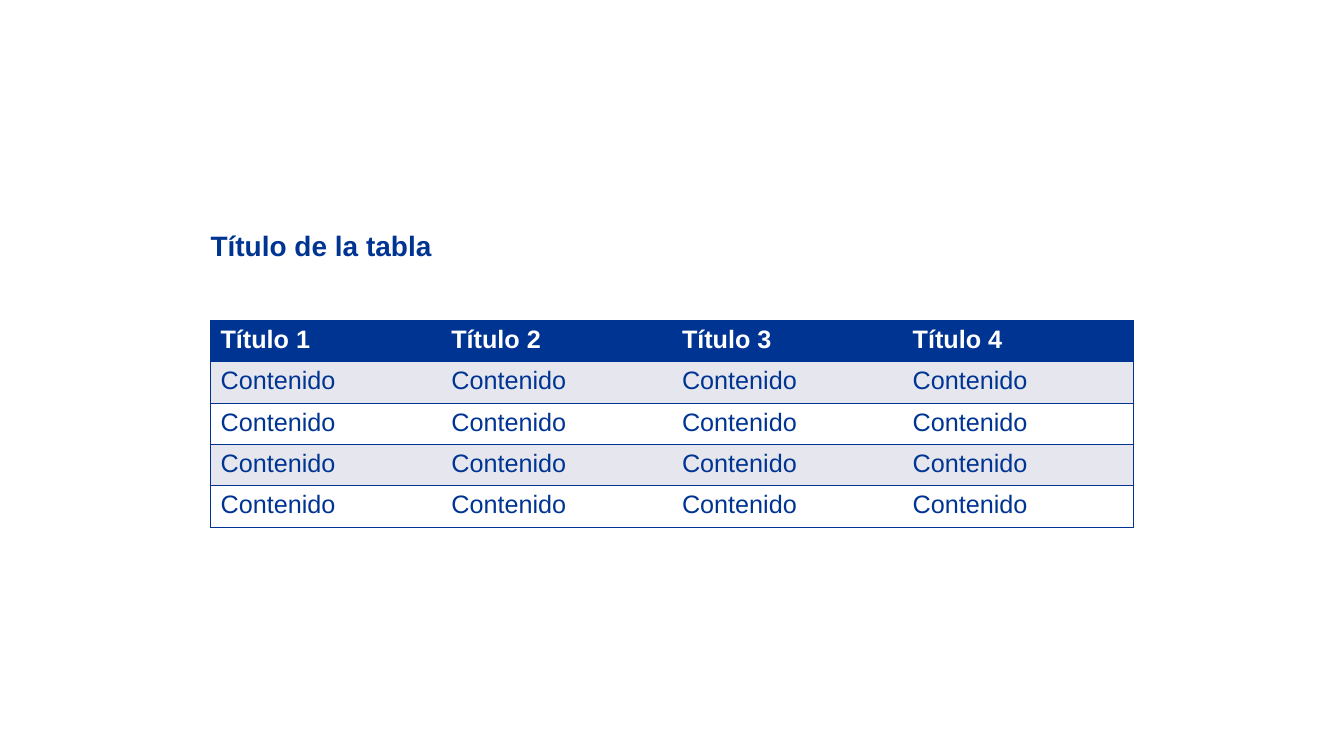
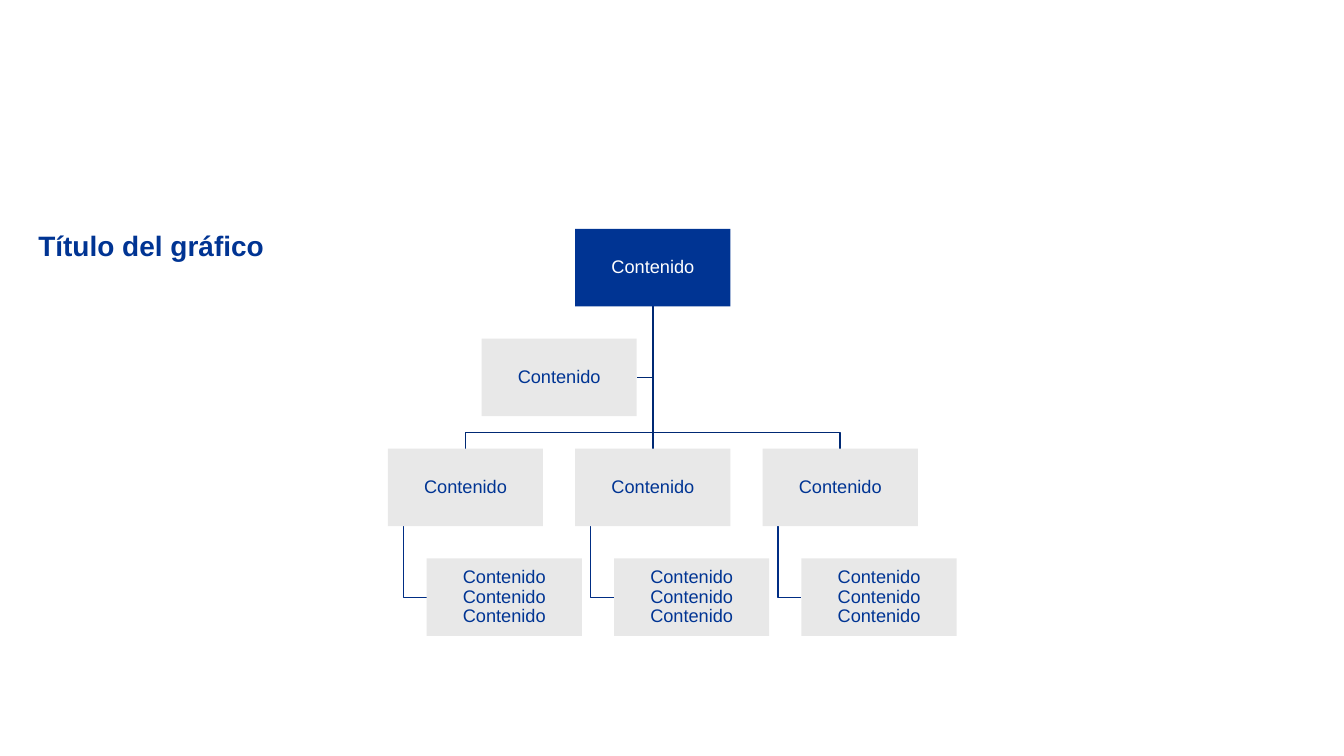
from lxml import etree
from pptx import Presentation
from pptx.dml.color import RGBColor
from pptx.enum import shapes, text
from pptx.oxml import ns
from pptx.util import Inches, Pt

# Shared style
BLUE = RGBColor(0x00, 0x34, 0x93)
TRUNK_BLUE = RGBColor(0x00, 0x29, 0x74)
BRANCH_BLUE = RGBColor(0x00, 0x2D, 0x84)
STRIPE = RGBColor(0xE6, 0xE7, 0xEE)
GREY = RGBColor(0xE8, 0xE8, 0xE8)
WHITE = RGBColor(0xFF, 0xFF, 0xFF)
FONT = "Arial"
PLAIN_TABLE_STYLE = "{2D5ABB26-0587-4C30-8999-92F81FD0307C}"

SLIDE_W, SLIDE_H = 13.34, 7.5
MARGIN = 0.38
TITLE_TOP = 2.27

# Table grid
TABLE_LEFT, TABLE_TOP = 2.09, 3.18
COL_W, ROW_H = 2.29, 0.41

# Organisation chart grid
BOX_W, BOX_H = 1.54, 0.77
COL_STEP, ROW_STEP = 1.86, 1.09
CHART_LEFT, CHART_TOP = 3.85, 2.27
LEAF_SHIFT = BOX_W / 4
BRANCH_INSET = BOX_W / 10
BUS_GAP = 0.16


def column(index):
    return CHART_LEFT + index * COL_STEP


def row(index):
    return CHART_TOP + index * ROW_STEP


def add_run(paragraph, words, size, color, bold=False):
    run = paragraph.add_run()
    run.text = words
    run.font.name = FONT
    run.font.size = Pt(size)
    run.font.bold = bold
    run.font.color.rgb = color


def set_insets(frame, horizontal, vertical):
    frame.margin_left = frame.margin_right = Inches(horizontal)
    frame.margin_top = frame.margin_bottom = Inches(vertical)


def add_title(slide, words, left):
    title = slide.shapes.add_textbox(
        Inches(left), Inches(TITLE_TOP), Inches(SLIDE_W - MARGIN - left), Inches(0.34))
    frame = title.text_frame
    frame.word_wrap = True
    set_insets(frame, 0, 0)
    add_run(frame.paragraphs[0], words, 20, BLUE, bold=True)


def add_borders(cell, sides):
    properties = cell._tc.get_or_add_tcPr()
    for side in sides:
        line = etree.SubElement(properties, ns.qn(f"a:ln{side}"), w=str(Pt(1)))
        fill = etree.SubElement(line, ns.qn("a:solidFill"))
        etree.SubElement(fill, ns.qn("a:srgbClr"), val=str(BLUE))


def add_striped_table(slide, rows):
    row_count, col_count = len(rows), len(rows[0])
    table = slide.shapes.add_table(
        row_count, col_count, Inches(TABLE_LEFT), Inches(TABLE_TOP),
        Inches(COL_W * col_count), Inches(ROW_H * row_count)).table
    table._tbl.tblPr.find(ns.qn("a:tableStyleId")).text = PLAIN_TABLE_STYLE
    for r, entries in enumerate(rows):
        header = r == 0
        background = BLUE if header else STRIPE if r % 2 else WHITE
        for c, words in enumerate(entries):
            cell = table.cell(r, c)
            sides = ["L"] * (c == 0) + ["R"] * (c == col_count - 1) + ["T", "B"]
            add_borders(cell, sides)
            cell.fill.solid()
            cell.fill.fore_color.rgb = background
            add_run(cell.text_frame.paragraphs[0], words, 18,
                    WHITE if header else BLUE, bold=header)


def add_box(slide, left, top, lines, fill=GREY, color=BLUE):
    box = slide.shapes.add_shape(
        shapes.MSO_SHAPE.RECTANGLE,
        Inches(left), Inches(top), Inches(BOX_W), Inches(BOX_H))
    box.shadow.inherit = False
    box.fill.solid()
    box.fill.fore_color.rgb = fill
    box.line.fill.background()
    frame = box.text_frame
    frame.word_wrap = True
    frame.vertical_anchor = text.MSO_ANCHOR.MIDDLE
    set_insets(frame, 0.01, 0.01)
    paragraph = frame.paragraphs[0]
    paragraph.alignment = text.PP_ALIGN.CENTER
    paragraph.line_spacing = 0.9
    for number, words in enumerate(lines):
        if number:
            paragraph.add_line_break()
        add_run(paragraph, words, 13, color)


def add_straight(slide, start, end, color):
    link = slide.shapes.add_connector(
        shapes.MSO_CONNECTOR.STRAIGHT, *(Inches(value) for value in (*start, *end)))
    etree.SubElement(link._element.spPr, ns.qn("a:effectLst"))
    link.line.color.rgb = color
    link.line.width = Pt(1)


def add_bent(slide, points, color):
    first, *rest = [(Inches(x), Inches(y)) for x, y in points]
    builder = slide.shapes.build_freeform(*first)
    builder.add_line_segments(rest, close=False)
    link = builder.convert_to_shape()
    link.shadow.inherit = False
    link.fill.background()
    link.line.color.rgb = color
    link.line.width = Pt(1)


def add_org_chart(slide, head, assistant, teams):
    trunk = column(1) + BOX_W / 2
    head_bottom = row(0) + BOX_H
    assistant_left = column(0.5)
    assistant_middle = row(1) + BOX_H / 2
    bus = row(2) - BUS_GAP

    # Links from the head
    add_straight(slide, (trunk, head_bottom), (trunk, row(2)), TRUNK_BLUE)
    add_straight(slide, (trunk, assistant_middle),
                 (assistant_left + BOX_W, assistant_middle), TRUNK_BLUE)
    for side in (0, 2):
        center = column(side) + BOX_W / 2
        add_bent(slide, [(trunk, head_bottom), (trunk, bus), (center, bus),
                         (center, row(2))], TRUNK_BLUE)

    # Head and assistant
    add_box(slide, column(1), row(0), [head], BLUE, WHITE)
    add_box(slide, assistant_left, row(1), [assistant])

    # Teams with their members
    for index, (team, members) in enumerate(teams):
        left = column(index)
        branch = left + BRANCH_INSET
        leaf_middle = row(3) + BOX_H / 2
        add_bent(slide, [(branch, row(2) + BOX_H), (branch, leaf_middle),
                         (left + LEAF_SHIFT, leaf_middle)], BRANCH_BLUE)
        add_box(slide, left, row(2), [team])
        add_box(slide, left + LEAF_SHIFT, row(3), members)


def main():
    deck = Presentation()
    deck.slide_width, deck.slide_height = Inches(SLIDE_W), Inches(SLIDE_H)
    blank = deck.slide_layouts[6]

    # Table slide
    table_slide = deck.slides.add_slide(blank)
    headings = [f"Título {number}" for number in range(1, 5)]
    add_striped_table(table_slide, [headings] + [["Contenido"] * 4] * 4)
    add_title(table_slide, "Título de la tabla", TABLE_LEFT)

    # Organisation chart slide
    chart_slide = deck.slides.add_slide(blank)
    add_org_chart(chart_slide, "Contenido", "Contenido",
                  [("Contenido", ["Contenido"] * 3)] * 3)
    add_title(chart_slide, "Título del gráfico", MARGIN)

    deck.save("out.pptx")


if __name__ == "__main__":
    main()
